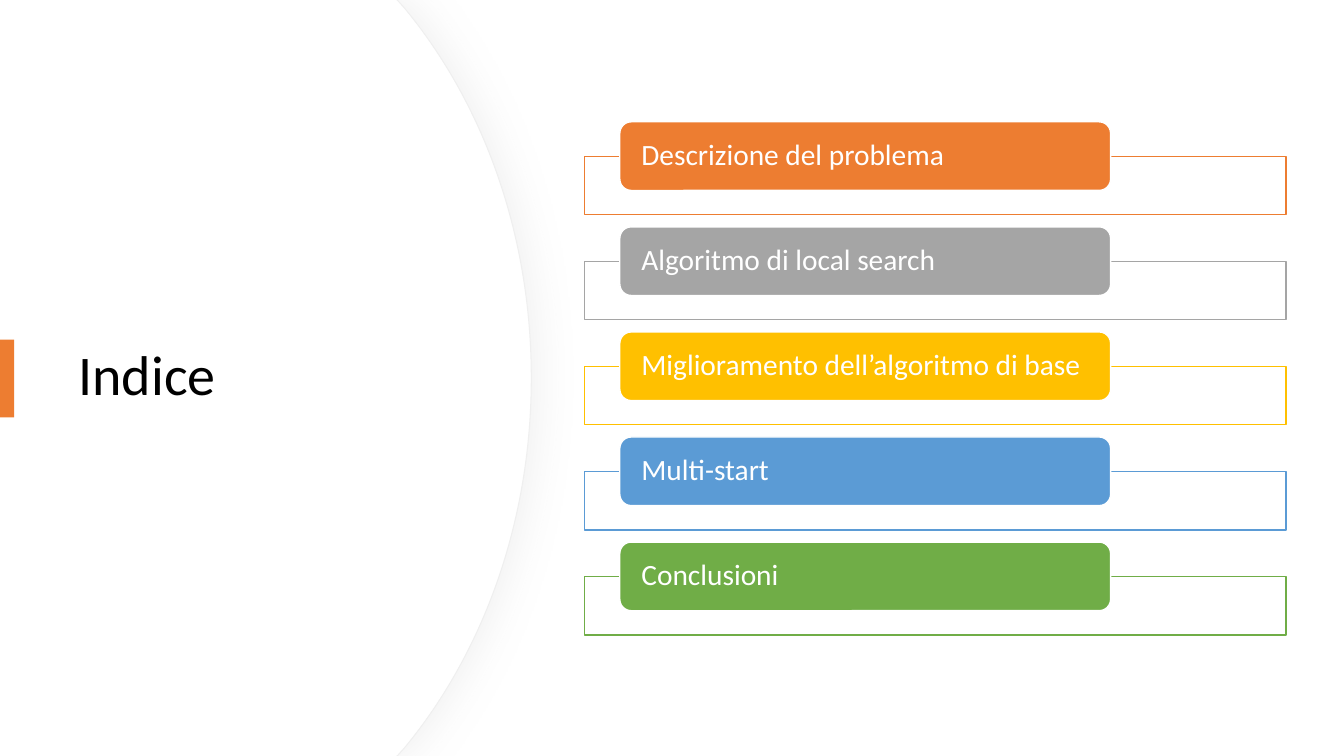
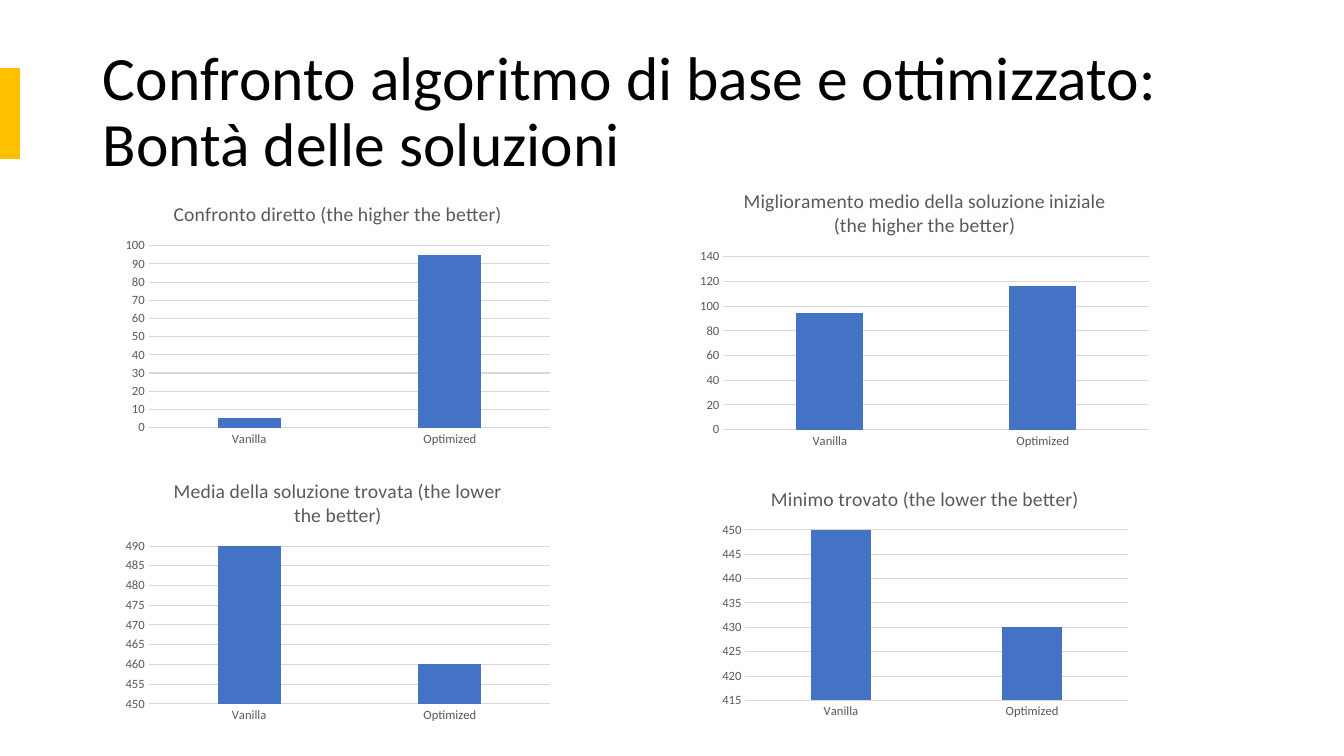
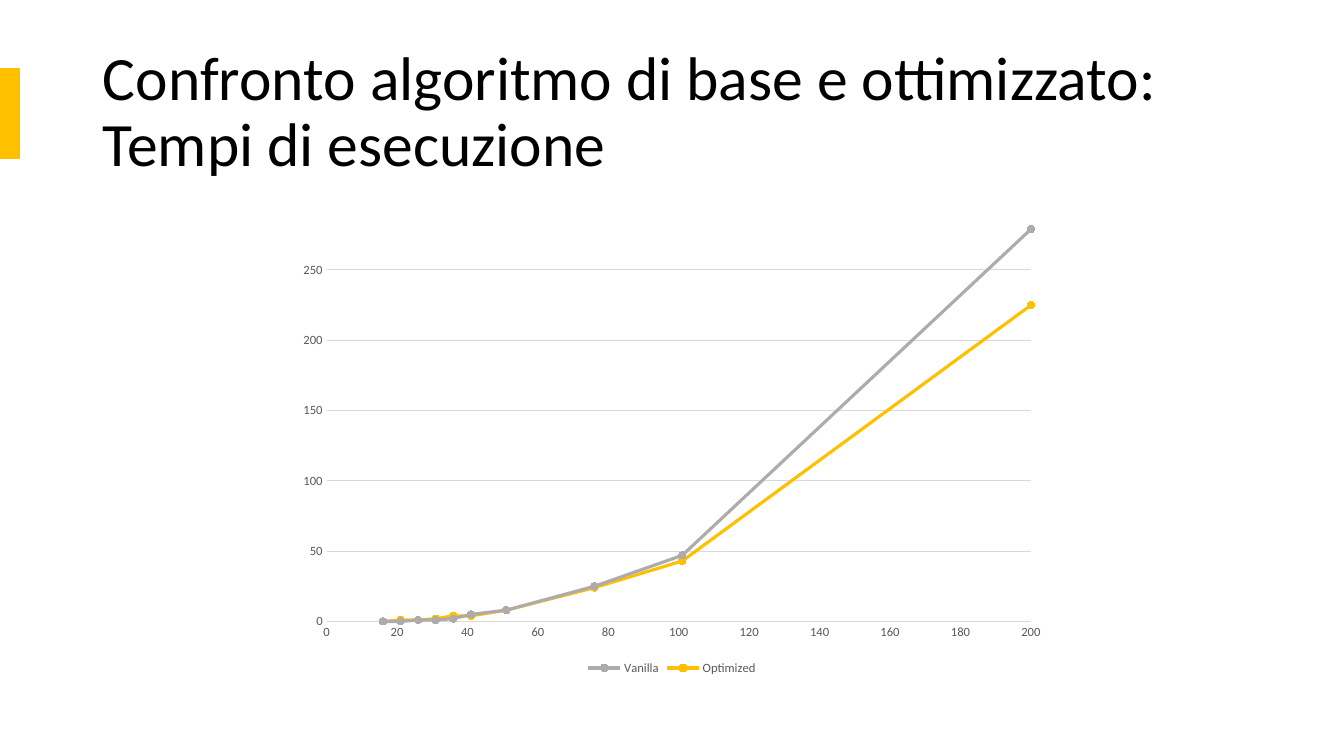
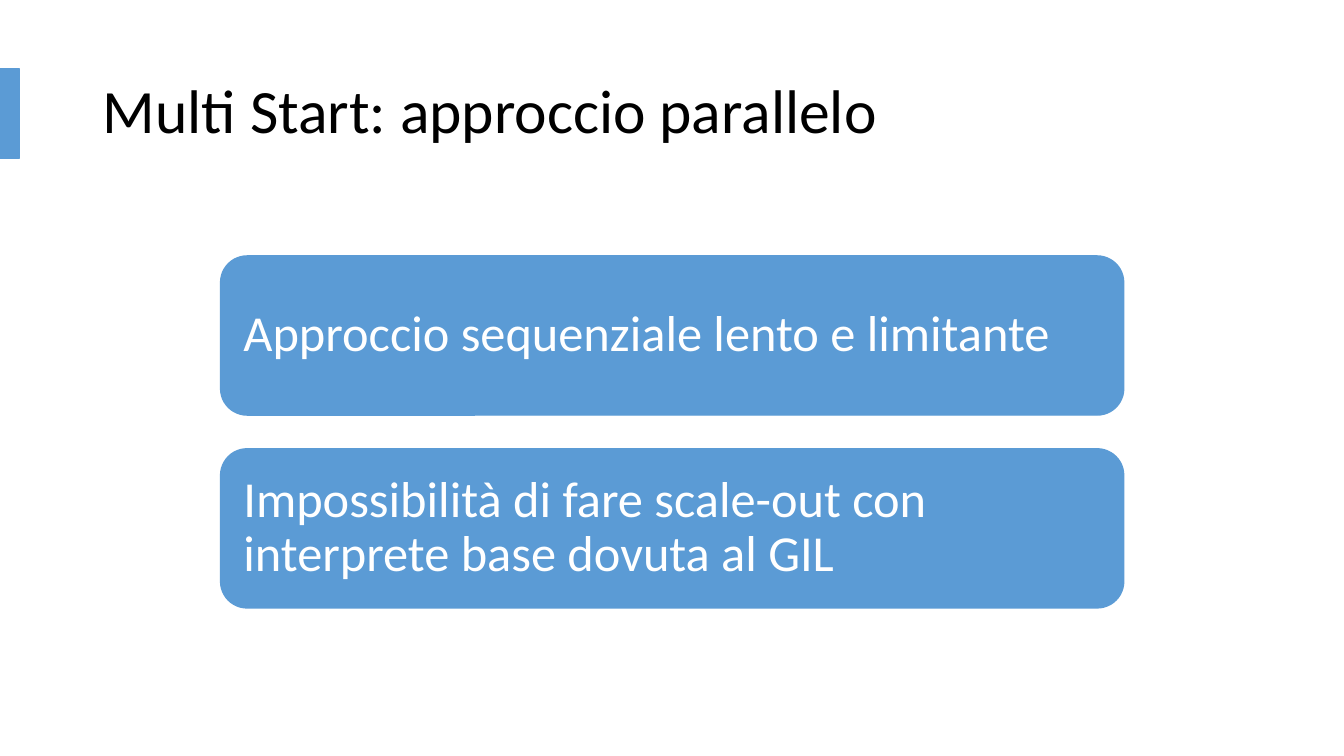
import dataclasses
import typing

import lxml.etree
import pptx
import pptx.chart.data
import pptx.dml.color
import pptx.enum.chart
import pptx.enum.shapes
import pptx.enum.text
import pptx.oxml.ns
import pptx.util

Cm = pptx.util.Cm
Pt = pptx.util.Pt
Color = pptx.dml.color.RGBColor
Preset = pptx.enum.shapes.MSO_SHAPE
ChartKind = pptx.enum.chart.XL_CHART_TYPE
TickMark = pptx.enum.chart.XL_TICK_MARK
qn = pptx.oxml.ns.qn

WHITE = Color(0xFF, 0xFF, 0xFF)
BLACK = Color(0x00, 0x00, 0x00)
ORANGE = Color(0xED, 0x7D, 0x31)
GRAY = Color(0xA5, 0xA5, 0xA5)
YELLOW = Color(0xFF, 0xC0, 0x00)
LIGHT_BLUE = Color(0x5B, 0x9B, 0xD5)
GREEN = Color(0x70, 0xAD, 0x47)
COLUMN_BLUE = Color(0x44, 0x72, 0xC4)
LINE_GRAY = Color(0xAF, 0xAB, 0xAB)
CHART_TEXT = Color(0x59, 0x59, 0x59)
GRID = Color(0xD9, 0xD9, 0xD9)
ARC_EDGE = Color(0xEF, 0xEF, 0xEF)

FONT = "Calibri"
SLIDE_WIDTH, SLIDE_HEIGHT = 33.87, 19.05
ALGORITHM_TITLE = "Confronto algoritmo di base e ottimizzato: \v"


@dataclasses.dataclass(frozen=True)
class Box:
    """A rectangle in centimetres."""

    left: float
    top: float
    width: float
    height: float

    def lengths(self) -> list[pptx.util.Length]:
        return [Cm(value) for value in dataclasses.astuple(self)]


@dataclasses.dataclass(frozen=True)
class Topic:
    label: str
    color: Color


@dataclasses.dataclass(frozen=True)
class ColumnChart:
    title: str
    box: Box
    values: tuple[int, int]
    low: int
    high: int
    step: int


@dataclasses.dataclass(frozen=True)
class Timing:
    name: str
    color: Color
    seconds: tuple[int, ...]


TITLE_BOX = Box(2.34, 1.02, 29.21, 3.68)
BAND_BOX = Box(0, 1.73, 0.48, 2.26)

TOPICS = (
    Topic("Descrizione del problema", ORANGE),
    Topic("Algoritmo di local search", GRAY),
    Topic("Miglioramento dell’algoritmo di base", YELLOW),
    Topic("Multi-start", LIGHT_BLUE),
    Topic("Conclusioni", GREEN),
)
TOPIC_PITCH = 10.59 / (len(TOPICS) - 1)

COLUMN_CHARTS = (
    ColumnChart("Confronto diretto (the higher the better)",
                Box(2.94, 4.7, 11.15, 6.68), (5, 95), 0, 100, 10),
    ColumnChart("Media della soluzione trovata (the lower the better)",
                Box(2.94, 11.66, 11.15, 6.68), (490, 460), 450, 490, 5),
    ColumnChart("Minimo trovato (the lower the better)",
                Box(17.99, 11.87, 10.64, 6.38), (450, 430), 415, 450, 5),
    ColumnChart("Miglioramento medio della soluzione iniziale (the higher the better)",
                Box(17.41, 4.35, 11.79, 7.09), (94, 116), 0, 140, 20),
)

INSTANCE_SIZES = (16, 21, 26, 31, 36, 41, 51, 76, 101, 200)
TIMINGS = (
    Timing("Vanilla", LINE_GRAY, (0, 0, 1, 1, 2, 5, 8, 25, 47, 279)),
    Timing("Optimized", YELLOW, (0, 1, 1, 2, 4, 4, 8, 24, 43, 225)),
)

LIMITS = (
    "Approccio sequenziale lento e limitante",
    "Impossibilità di fare scale-out con interprete base dovuta al GIL",
)
LIMIT_PITCH = 4.86


def set_values(target: typing.Any, values: dict[str, typing.Any]) -> None:
    for name, value in values.items():
        setattr(target, name, value)


def style_font(font: typing.Any, size: float, color: Color) -> None:
    set_values(font, {"name": FONT, "size": Pt(size), "bold": False})
    font.color.rgb = color


def style_line(line: typing.Any, color: Color, width: float) -> None:
    line.color.rgb = color
    line.width = Pt(width)


def paint(shape: typing.Any, fill: Color, edge: Color | None, width: float = 1) -> None:
    shape.shadow.inherit = False
    shape.fill.solid()
    shape.fill.fore_color.rgb = fill
    if edge is None:
        shape.line.fill.background()
    else:
        style_line(shape.line, edge, width)


def add_panel(page: typing.Any, preset: Preset, box: Box, fill: Color,
              edge: Color | None) -> typing.Any:
    panel = page.shapes.add_shape(preset, *box.lengths())
    paint(panel, fill, edge)
    return panel


def write(shape: typing.Any, text: str, size: float, color: Color,
          side: float = 0.25, upright: float = 0.13) -> None:
    """Put left-aligned, vertically centred text in a shape."""
    frame = shape.text_frame
    set_values(frame, {
        "word_wrap": True,
        "vertical_anchor": pptx.enum.text.MSO_ANCHOR.MIDDLE,
        "margin_left": Cm(side),
        "margin_right": Cm(side),
        "margin_top": Cm(upright),
        "margin_bottom": Cm(upright),
    })
    para = frame.paragraphs[0]
    para.text = text
    set_values(para, {"alignment": pptx.enum.text.PP_ALIGN.LEFT, "line_spacing": 0.9})
    for span in para.runs:
        style_font(span.font, size, color)


def add_blank_page(deck: typing.Any) -> typing.Any:
    return deck.slides.add_slide(deck.slide_layouts[6])


def add_title(page: typing.Any, title: str, box: Box, size: float) -> None:
    write(page.shapes.add_textbox(*box.lengths()), title, size, BLACK)


def add_titled_page(deck: typing.Any, title: str, color: Color) -> typing.Any:
    """Add a slide with its title and the coloured band at the left edge."""
    page = add_blank_page(deck)
    add_title(page, title, TITLE_BOX, 44)
    add_panel(page, Preset.RECTANGLE, BAND_BOX, color, color)
    return page


def bend(segment: typing.Any, controls: tuple[tuple[float, float], ...]) -> None:
    """Turn a straight outline segment into a cubic curve."""
    segment.tag = qn("a:cubicBezTo")
    for index, (x, y) in enumerate(controls):
        point = lxml.etree.Element(qn("a:pt"), {"x": str(Cm(x)), "y": str(Cm(y))})
        segment.insert(index, point)


def add_arc(page: typing.Any, reach: float, edge: Color | None) -> typing.Any:
    """Draw the white panel whose right side bulges out to reach."""
    flat, shoulder, hip = reach - 3.38, reach - 3.2, reach - 1.22
    outline = ((flat, 0), (shoulder, 0.2), (reach, SLIDE_HEIGHT / 2),
               (shoulder, SLIDE_HEIGHT - 0.2), (flat, SLIDE_HEIGHT), (0, SLIDE_HEIGHT))
    builder = page.shapes.build_freeform(0, 0)
    builder.add_line_segments([(Cm(x), Cm(y)) for x, y in outline], close=True)
    arc = builder.convert_to_shape()
    segments = list(arc._element.iter(qn("a:lnTo")))
    bend(segments[2], ((hip, 2.59), (reach, 5.89)))
    bend(segments[3], ((reach, SLIDE_HEIGHT - 5.89), (hip, SLIDE_HEIGHT - 2.59)))
    paint(arc, WHITE, edge, 0.75)
    return arc


def add_soft_shadow(shape: typing.Any) -> None:
    effects = shape._element.spPr.find(qn("a:effectLst"))
    shadow = lxml.etree.SubElement(effects, qn("a:outerShdw"), {
        "blurRad": str(Pt(30)), "dist": str(Pt(3)), "dir": "0"})
    tint = lxml.etree.SubElement(shadow, qn("a:srgbClr"), {"val": str(GRID)})
    lxml.etree.SubElement(tint, qn("a:alpha"), {"val": "40000"})


def style_axis(axis: typing.Any, scale: dict[str, float], gridlines: bool) -> None:
    set_values(axis, {
        "major_tick_mark": TickMark.NONE,
        "minor_tick_mark": TickMark.NONE,
        "has_major_gridlines": gridlines,
        **scale,
    })
    style_font(axis.tick_labels.font, 9, CHART_TEXT)
    if gridlines:
        style_line(axis.major_gridlines.format.line, GRID, 0.75)
        axis.format.line.fill.background()
    else:
        style_line(axis.format.line, GRID, 0.75)


def add_chart(page: typing.Any, kind: ChartKind, box: Box, data: typing.Any) -> typing.Any:
    chart = page.shapes.add_chart(kind, *box.lengths(), data).chart
    style_font(chart.font, 10, BLACK)
    chart.plots[0].vary_by_categories = False
    return chart


def add_column_chart(page: typing.Any, column_chart: ColumnChart) -> None:
    data = pptx.chart.data.CategoryChartData()
    data.categories = ("Vanilla", "Optimized")
    data.add_series(column_chart.title, column_chart.values)
    chart = add_chart(page, ChartKind.COLUMN_CLUSTERED, column_chart.box, data)
    set_values(chart, {"has_legend": False, "has_title": True})
    title = chart.chart_title.text_frame
    title.text = column_chart.title
    style_font(title.paragraphs[0].runs[0].font, 14, CHART_TEXT)
    set_values(chart.plots[0], {"gap_width": 219, "overlap": -27})
    fill = chart.plots[0].series[0].format.fill
    fill.solid()
    fill.fore_color.rgb = COLUMN_BLUE
    style_axis(chart.category_axis, {}, gridlines=False)
    style_axis(chart.value_axis, {
        "minimum_scale": column_chart.low,
        "maximum_scale": column_chart.high,
        "major_unit": column_chart.step,
    }, gridlines=True)


def add_timing_chart(page: typing.Any, box: Box) -> None:
    data = pptx.chart.data.XyChartData()
    for timing in TIMINGS:
        series = data.add_series(timing.name)
        for size, seconds in zip(INSTANCE_SIZES, timing.seconds):
            series.add_data_point(size, seconds)
    chart = add_chart(page, ChartKind.XY_SCATTER_LINES, box, data)
    set_values(chart, {"has_title": False, "has_legend": True})
    set_values(chart.legend, {
        "position": pptx.enum.chart.XL_LEGEND_POSITION.BOTTOM,
        "include_in_layout": False,
    })
    style_font(chart.legend.font, 9, CHART_TEXT)
    for series, timing in zip(chart.plots[0].series, TIMINGS):
        series.smooth = False
        style_line(series.format.line, timing.color, 2.25)
        marker = series.marker
        set_values(marker, {"style": pptx.enum.chart.XL_MARKER_STYLE.CIRCLE, "size": 5})
        marker.format.fill.solid()
        marker.format.fill.fore_color.rgb = timing.color
        style_line(marker.format.line, timing.color, 0.75)
    style_axis(chart.category_axis, {"maximum_scale": 200, "major_unit": 20},
               gridlines=False)
    style_axis(chart.value_axis, {"minimum_scale": 0, "maximum_scale": 280},
               gridlines=True)


def build_index(deck: typing.Any) -> None:
    page = add_blank_page(deck)
    add_soft_shadow(add_arc(page, 13.39, ARC_EDGE))
    add_arc(page, 13.36, None)
    add_title(page, "Indice", Box(1.73, 3.23, 10.01, 12.57), 40)
    add_panel(page, Preset.RECTANGLE, Box(0, 8.56, 0.36, 1.96), ORANGE, None)
    for index, topic in enumerate(TOPICS):
        shift = index * TOPIC_PITCH
        add_panel(page, Preset.RECTANGLE, Box(14.73, 3.94 + shift, 17.68, 1.47),
                  WHITE, topic.color)
        pill = add_panel(page, Preset.ROUNDED_RECTANGLE,
                         Box(15.62, 3.07 + shift, 12.37, 1.73), topic.color, WHITE)
        write(pill, topic.label, 21, WHITE, side=0.46, upright=0)


def build_quality(deck: typing.Any) -> None:
    page = add_titled_page(deck, ALGORITHM_TITLE + "Bontà delle soluzioni", YELLOW)
    for column_chart in COLUMN_CHARTS:
        add_column_chart(page, column_chart)


def build_timing(deck: typing.Any) -> None:
    page = add_titled_page(deck, ALGORITHM_TITLE + "Tempi di esecuzione", YELLOW)
    add_timing_chart(page, Box(7.26, 5.51, 19.35, 11.61))


def build_parallel(deck: typing.Any) -> None:
    page = add_titled_page(deck, "Multi Start: approccio parallelo", LIGHT_BLUE)
    for index, limit in enumerate(LIMITS):
        card = add_panel(page, Preset.ROUNDED_RECTANGLE,
                         Box(5.56, 6.45 + index * LIMIT_PITCH, 22.76, 4.01),
                         LIGHT_BLUE, LIGHT_BLUE)
        write(card, limit, 36, WHITE, side=0.38, upright=0.38)


def main() -> None:
    deck = pptx.Presentation()
    set_values(deck, {"slide_width": Cm(SLIDE_WIDTH), "slide_height": Cm(SLIDE_HEIGHT)})
    for build in (build_index, build_quality, build_timing, build_parallel):
        build(deck)
    deck.save("out.pptx")


if __name__ == "__main__":
    main()
